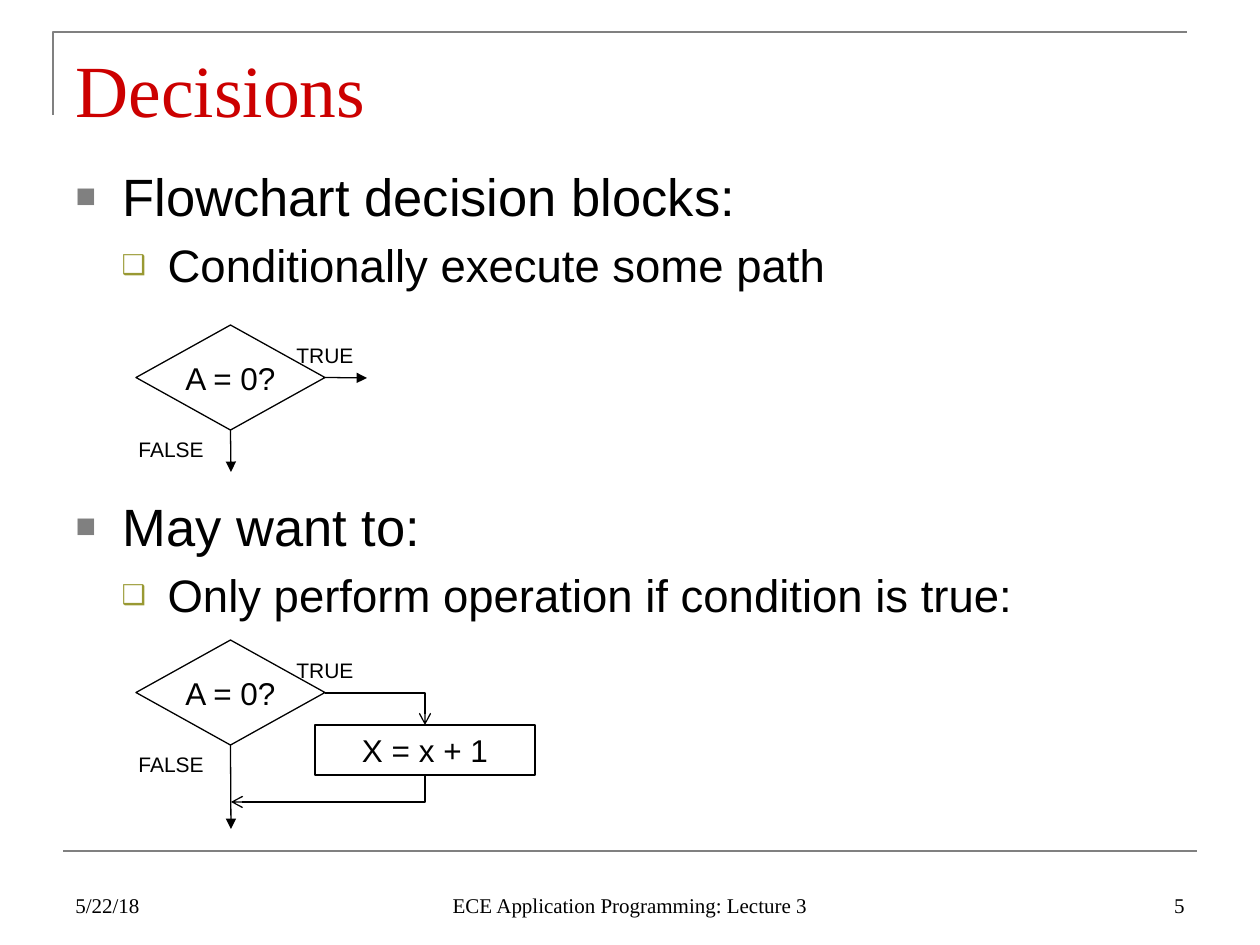
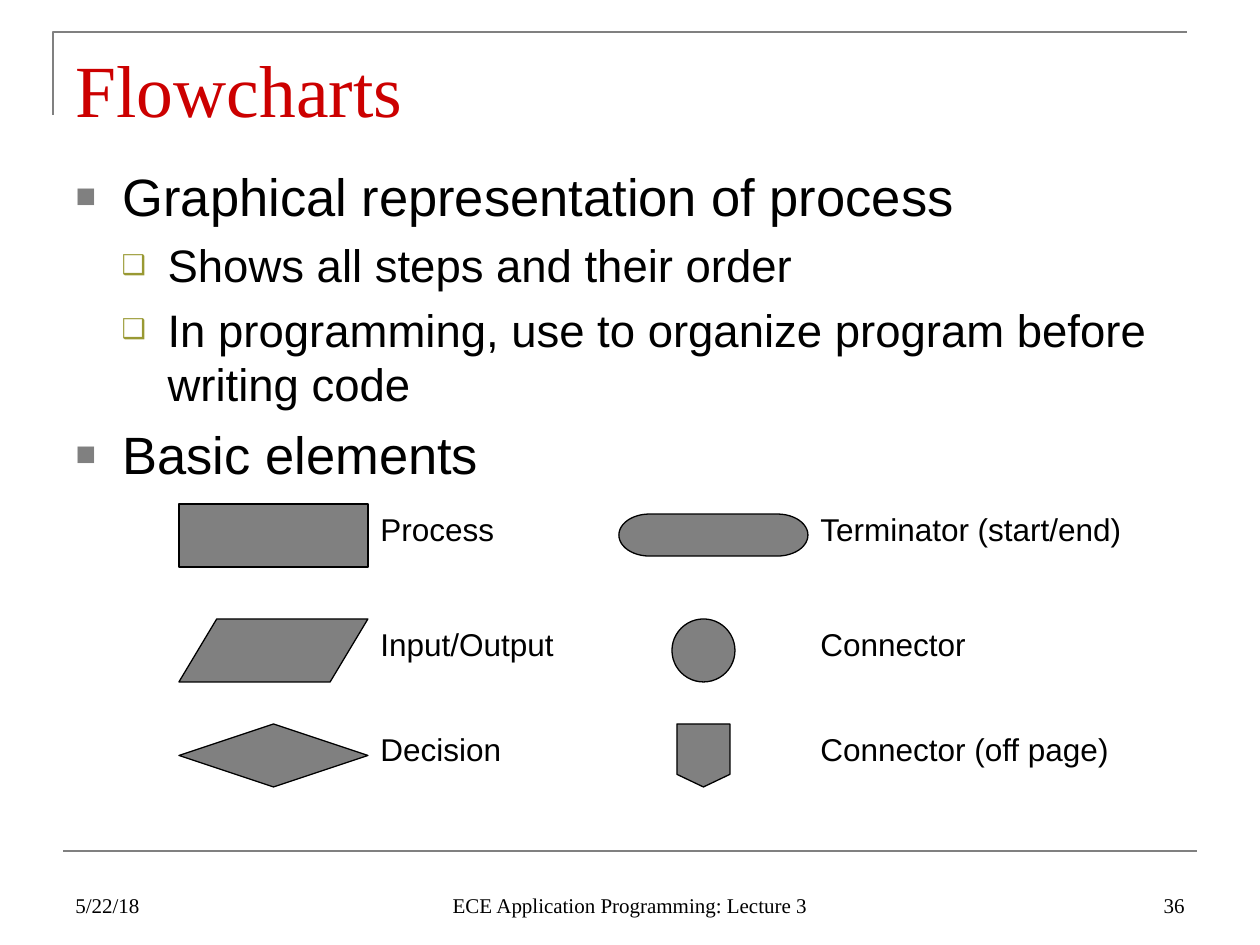
from lxml import etree
from pptx import Presentation
from pptx import util as u
from pptx.dml.color import RGBColor
from pptx.enum import shapes, text
from pptx.oxml.ns import qn

PX = 914400 / 126
SANS, SERIF = "Arial", "Times New Roman"
BLACK, GRAY, RED, OLIVE = "000000", "808080", "CC0000", "999933"
LEFT, CENTER, RIGHT = text.PP_ALIGN.LEFT, text.PP_ALIGN.CENTER, text.PP_ALIGN.RIGHT
TOP, MIDDLE, BOTTOM = text.MSO_ANCHOR.TOP, text.MSO_ANCHOR.MIDDLE, text.MSO_ANCHOR.BOTTOM
KIND = shapes.MSO_SHAPE

DATE, COURSE = "5/22/18", "ECE Application Programming: Lecture 3"
LEVELS = [
    dict(size=30, before=6.6, margin=47, hang=47, mark="■", color=GRAY, percent=65),
    dict(size=26, before=5.7, margin=92, hang=46, mark="❑", color=OLIVE, percent=60),
]
DIAGRAM_GAP = 115.7

DECISIONS = dict(title="Decisions", number="5", bullets=[
    (0, "Flowchart decision blocks:", None),
    (1, "Conditionally execute some path", None),
    (0, "May want to:", DIAGRAM_GAP),
    (1, "Only perform operation if condition is true:", None),
])
FLOWCHARTS = dict(title="Flowcharts", number="36", bullets=[
    (0, "Graphical representation of process", None),
    (1, "Shows all steps and their order", None),
    (1, "In programming, use to organize program before writing code", None),
    (0, "Basic elements", None),
])
CONDITION, OPERATION = "A = 0?", "X = x + 1"

ROW_TOPS = [504, 619, 724]
ROW_HEIGHT, SYMBOL_WIDTH = 63, 189
COLUMNS = [
    (179, 284, [
        ("Process", KIND.FLOWCHART_PROCESS, 189, 63),
        ("Input/Output", KIND.FLOWCHART_DATA, 189, 63),
        ("Decision", KIND.FLOWCHART_DECISION, 189, 63),
    ]),
    (619, 388, [
        ("Terminator (start/end)", KIND.FLOWCHART_TERMINATOR, 189, 42),
        ("Connector", KIND.FLOWCHART_CONNECTOR, 63, 63),
        ("Connector (off page)", KIND.FLOWCHART_OFFPAGE_CONNECTOR, 53, 63),
    ]),
]


def px(*lengths):
    return [u.Emu(round(length * PX)) for length in lengths]


def rgb(color):
    return RGBColor.from_string(color)


def style(paragraph, size, font=SANS, color=BLACK, align=LEFT):
    paragraph.alignment = align
    for run in paragraph.runs:
        run.font.size = u.Pt(size)
        run.font.name = font
        run.font.color.rgb = rgb(color)


def write(frame, words, size, font=SANS, color=BLACK, align=LEFT, anchor=TOP, wrap=True):
    frame.text = words
    frame.word_wrap = wrap
    frame.auto_size = text.MSO_AUTO_SIZE.NONE
    frame.vertical_anchor = anchor
    style(frame.paragraphs[0], size, font, color, align)


def label(slide, words, box, size, **look):
    write(slide.shapes.add_textbox(*px(*box)).text_frame, words, size, **look)


def outline(shape, fill=None, color=BLACK, width=0.75):
    shape.shadow.inherit = False
    if fill:
        shape.fill.solid()
        shape.fill.fore_color.rgb = rgb(fill)
    else:
        shape.fill.background()
    shape.line.color.rgb = rgb(color)
    shape.line.width = u.Pt(width)
    return shape


def block(slide, kind, box, fill=None):
    return outline(slide.shapes.add_shape(kind, *px(*box)), fill)


def link(slide, ends, color=BLACK, width=0.75, head=None, kind=shapes.MSO_CONNECTOR.STRAIGHT):
    line = slide.shapes.add_connector(kind, *px(*ends))
    line.line.color.rgb = rgb(color)
    line.line.width = u.Pt(width)
    if head:
        etree.SubElement(line.line._get_or_add_ln(), qn("a:tailEnd"), type=head)
    etree.SubElement(line._element.spPr, qn("a:effectLst"))
    return line


def elbow(slide, start, end, down_first=False):
    (x1, y1), (x2, y2) = start, end
    ends = (x1, y1, x2, y2)
    if down_first:
        mid_x, mid_y = (x1 + x2) / 2, (y1 + y2) / 2
        half_w, half_h = abs(y2 - y1) / 2, abs(x2 - x1) / 2
        ends = (mid_x - half_w, mid_y - half_h, mid_x + half_w, mid_y + half_h)
    line = link(slide, ends, head="arrow", kind=shapes.MSO_CONNECTOR.ELBOW)
    properties = line._element.spPr
    properties.find(qn("a:prstGeom")).set("prst", "bentConnector2")
    if down_first:
        properties.find(qn("a:xfrm")).set("rot", "5400000")


def place(holder, box):
    holder.left, holder.top, holder.width, holder.height = px(*box)


def add_bullet(paragraph, level):
    properties = paragraph._p.get_or_add_pPr()
    margin, hang = px(level["margin"], level["hang"])
    properties.set("marL", str(margin))
    properties.set("indent", str(-hang))
    tint = etree.SubElement(properties, qn("a:buClr"))
    etree.SubElement(tint, qn("a:srgbClr"), val=level["color"])
    etree.SubElement(properties, qn("a:buSzPct"), val=str(level["percent"] * 1000))
    etree.SubElement(properties, qn("a:buFont"), typeface=SANS)
    etree.SubElement(properties, qn("a:buChar"), char=level["mark"])


def fill_body(body, bullets):
    place(body, (63, 158, 1134, 686))
    frame = body.text_frame
    frame.word_wrap = True
    frame.auto_size = text.MSO_AUTO_SIZE.NONE
    for index, (depth, words, gap) in enumerate(bullets):
        level = LEVELS[depth]
        paragraph = frame.add_paragraph() if index else frame.paragraphs[0]
        paragraph.text = words
        paragraph.level = depth
        add_bullet(paragraph, level)
        paragraph.space_before = u.Pt((gap or level["before"]) if index else 0)
        style(paragraph, level["size"])


def add_page(deck, content):
    slide = deck.slides.add_slide(deck.slide_layouts[1])
    corner = slide.shapes.build_freeform(53, 115, scale=PX)
    corner.add_line_segments([(53, 32), (1187, 32)], close=False)
    outline(corner.convert_to_shape(), color=GRAY, width=1.5)
    link(slide, (63, 851, 1197, 851), GRAY, 1.5)

    title, body = slide.placeholders
    place(title, (63, 38, 1134, 98))
    write(title.text_frame, content["title"], 42, SERIF, RED)
    fill_body(body, content["bullets"])

    footers = [(DATE, 63, 294, LEFT), (COURSE, 430, 400, CENTER), (content["number"], 903, 294, RIGHT)]
    for words, left, width, align in footers:
        label(slide, words, (left, 861, width, 63), 12, font=SERIF, align=align, anchor=BOTTOM)
    return slide


def add_decision(slide, top, false_length):
    diamond = block(slide, KIND.FLOWCHART_DECISION, (136, top, 189, 105))
    write(diamond.text_frame, CONDITION, 18, align=CENTER, anchor=MIDDLE, wrap=False)
    bottom = top + 105
    false_arrow = link(slide, (231, bottom, 231, bottom + false_length), head="triangle")
    false_arrow.begin_connect(diamond, 2)
    label(slide, "TRUE", (284, top + 11, 84, 38), 12)
    label(slide, "FALSE", (126, bottom, 95, 38), 12)
    return diamond


def draw_decisions(slide):
    condition = add_decision(slide, 325, 42)
    true_arrow = link(slide, (325, 378, 367, 378), head="triangle")
    true_arrow.begin_connect(condition, 3)

    add_decision(slide, 640, 84)
    operation = block(slide, KIND.RECTANGLE, (315, 725, 220, 50))
    write(operation.text_frame, OPERATION, 18, align=CENTER)
    elbow(slide, (325, 693), (425, 725))
    elbow(slide, (425, 775), (231, 802), down_first=True)


def draw_symbols(slide):
    for left, label_width, symbols in COLUMNS:
        for top, (words, kind, width, height) in zip(ROW_TOPS, symbols):
            inset_x, inset_y = (SYMBOL_WIDTH - width) // 2, (ROW_HEIGHT - height) // 2
            if kind in (KIND.FLOWCHART_CONNECTOR, KIND.FLOWCHART_OFFPAGE_CONNECTOR):
                inset_x -= 10
            block(slide, kind, (left + inset_x, top + inset_y, width, height), GRAY)
            label(slide, words, (left + SYMBOL_WIDTH, top, label_width, ROW_HEIGHT), 18)


def main():
    deck = Presentation()
    deck.slide_width, deck.slide_height = px(1260, 945)
    draw_decisions(add_page(deck, DECISIONS))
    draw_symbols(add_page(deck, FLOWCHARTS))
    deck.save("out.pptx")


if __name__ == "__main__":
    main()
